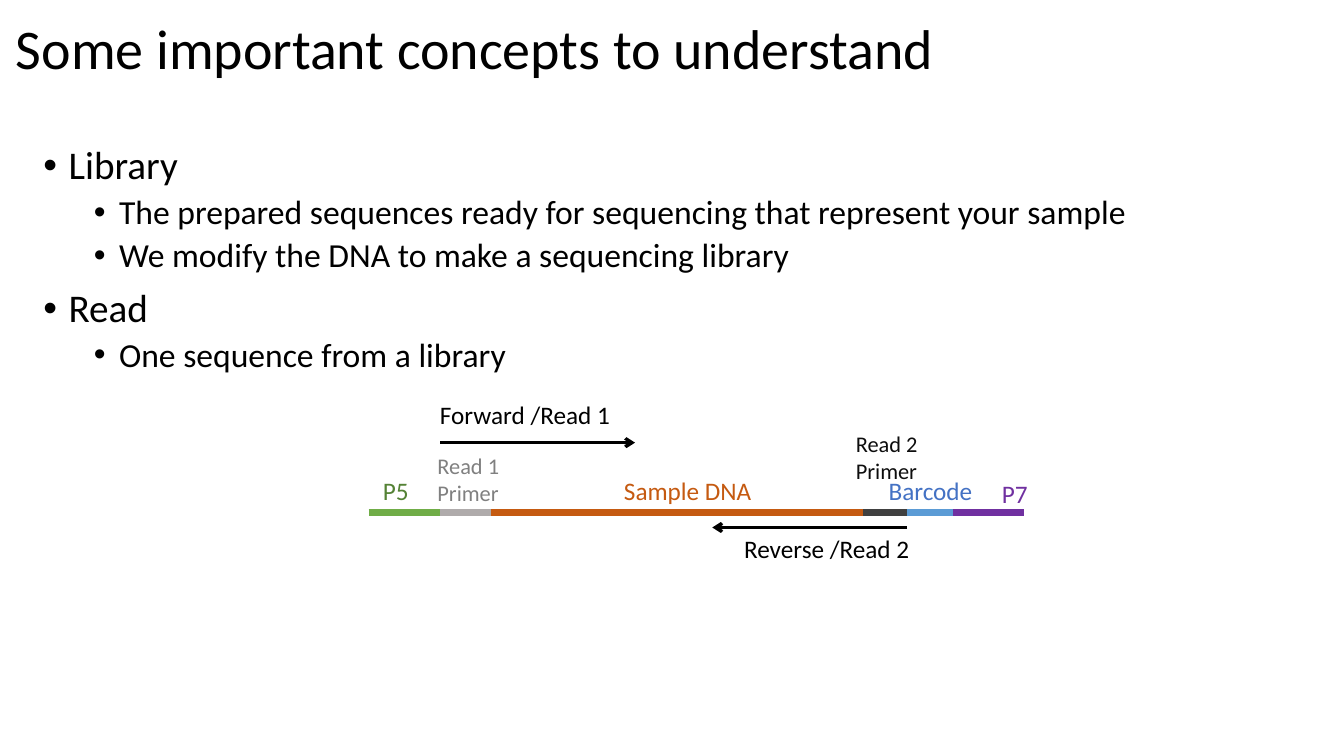
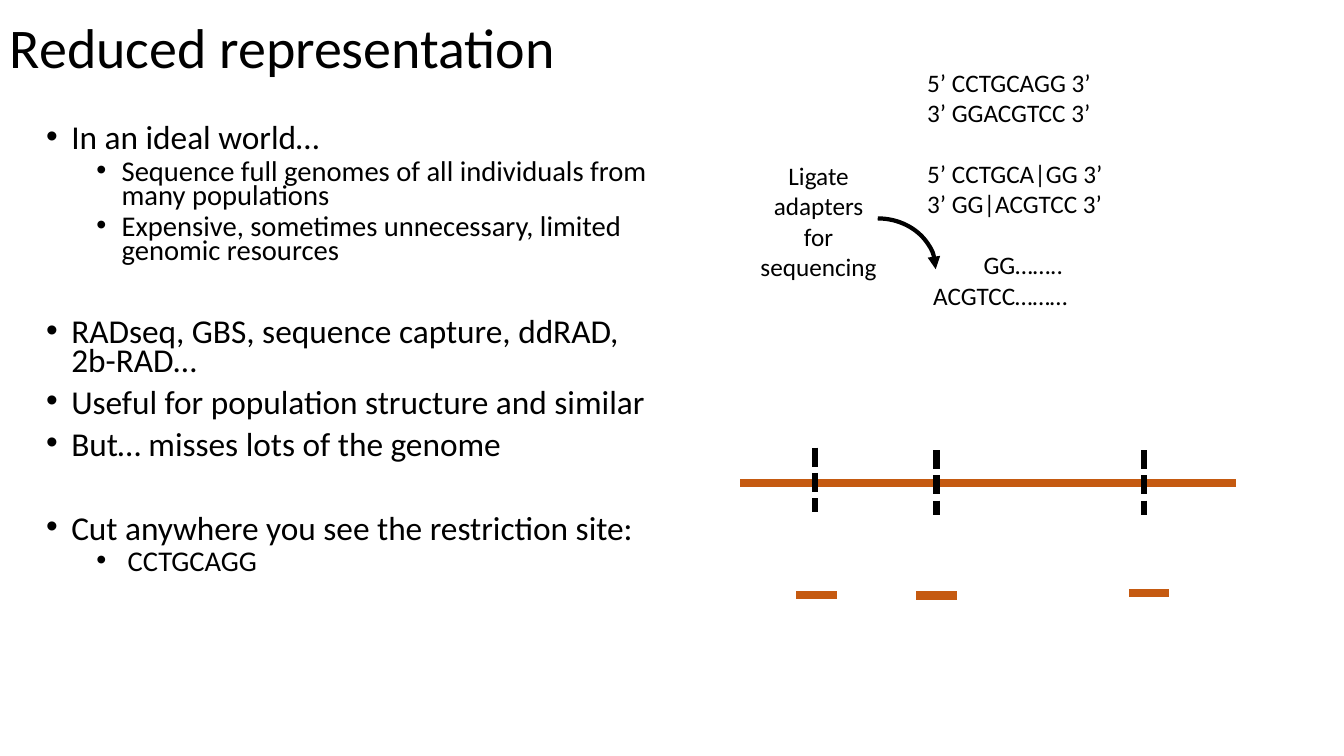
import dataclasses
import itertools

import pptx
import pptx.dml.color
import pptx.enum.dml
import pptx.enum.shapes
import pptx.enum.text
import pptx.oxml.ns
import pptx.util
from lxml import etree


@dataclasses.dataclass(frozen=True)
class Theme:
    font: str = "Calibri"
    black: str = "000000"
    orange: str = "C55A11"
    green: str = "70AD47"
    dark_green: str = "548235"
    purple: str = "7030A0"
    sky: str = "5B9BD5"
    blue: str = "4472C4"
    silver: str = "AFABAB"
    grey: str = "808080"
    charcoal: str = "404040"
    near_black: str = "0D0D0D"
    title: float = 40
    label: float = 18
    primer: float = 16
    thin: float = 2.25
    arc: float = 3
    strand: float = 4.5
    genome: float = 6


@dataclasses.dataclass(frozen=True)
class Style:
    """Text style; before is in points, left and hang in inches."""
    size: float
    color: str = Theme.black
    spacing: float = 1.0
    before: float = 0
    left: float = 0
    hang: float = 0
    bullet: str = ""
    align: pptx.enum.text.PP_ALIGN = pptx.enum.text.PP_ALIGN.LEFT


theme = Theme()
deck = pptx.Presentation()
deck.slide_width = pptx.util.Inches(13.33)
deck.slide_height = pptx.util.Inches(7.5)
COLUMNS, ROWS = 160, 90
column = deck.slide_width / COLUMNS
row = deck.slide_height / ROWS


def write_text(page, area, paragraphs, wrap=True, anchor=pptx.enum.text.MSO_ANCHOR.TOP):
    """Put (text, style) paragraphs in a box; area is left, top, width, height in cells."""
    left, top, width, height = area
    box = page.shapes.add_textbox(
        round(left * column), round(top * row), round(width * column), round(height * row))
    frame = box.text_frame
    frame.word_wrap = wrap
    frame.vertical_anchor = anchor
    for index, (text, style) in enumerate(paragraphs):
        para = frame.add_paragraph() if index else frame.paragraphs[0]
        para.alignment = style.align
        para.line_spacing = style.spacing
        para.space_before = pptx.util.Pt(style.before if index else 0)
        properties = para._p.get_or_add_pPr()
        properties.set("marL", str(pptx.util.Inches(style.left)))
        properties.set("indent", str(-pptx.util.Inches(style.hang)))
        if style.bullet:
            etree.SubElement(properties, pptx.oxml.ns.qn("a:buFont"), typeface="Arial")
            etree.SubElement(properties, pptx.oxml.ns.qn("a:buChar"), char=style.bullet)
        span = para.add_run()
        span.text = text
        span.font.name = theme.font
        span.font.size = pptx.util.Pt(style.size)
        span.font.color.rgb = pptx.dml.color.RGBColor.from_string(style.color)


def style_line(shape, color, width, arrow=None, dash=None):
    shape.line.color.rgb = pptx.dml.color.RGBColor.from_string(color)
    shape.line.width = pptx.util.Pt(width)
    if dash:
        shape.line.dash_style = dash
    if arrow:
        outline = shape.line._get_or_add_ln()
        etree.SubElement(outline, pptx.oxml.ns.qn("a:tailEnd"), type=arrow)


title = Style(theme.title, spacing=0.9)
label = Style(theme.label)
point = Style(28, spacing=0.9, before=10, left=0.25, hang=0.25, bullet="•")
detail = dataclasses.replace(point, size=24, before=5, left=0.75)
tight_point = dataclasses.replace(point, size=23.8, spacing=0.7)
tight_detail = dataclasses.replace(detail, size=20.4, spacing=0.7)
new_topic = dataclasses.replace(tight_point, before=40)
site = dataclasses.replace(tight_detail, left=0.81, hang=0.31)
new_pair = dataclasses.replace(label, before=22)

blank = deck.slide_layouts[6]
concepts = deck.slides.add_slide(blank)
reduced = deck.slides.add_slide(blank)

for page, area, heading in [
    (concepts, (0.7, 0, 138, 12.2), "Some important concepts to understand"),
    (reduced, (0, 0, 138, 11.9), "Reduced representation"),
]:
    write_text(page, area, [(heading, title)], anchor=pptx.enum.text.MSO_ANCHOR.MIDDLE)

# Concepts: bullets and the labels of the library fragment
write_text(concepts, (4, 16.8, 145, 29.5), [
    ("Library", point),
    ("The prepared sequences ready for sequencing that represent your sample", detail),
    ("We modify the DNA to make a sequencing library", detail),
    ("Read", point),
    ("One sequence from a library", detail),
])

for text, left, top, width, color in [
    ("Forward /Read 1", 51.2, 47, 22.9, theme.black),
    ("Reverse /Read 2", 87.4, 62.9, 22.3, theme.black),
    ("P5", 44.4, 56, 5.5, theme.dark_green),
    ("Sample DNA", 73.1, 56, 17.8, theme.orange),
    ("Barcode", 104.6, 56, 12.5, theme.blue),
    ("P7", 118.1, 56.3, 5.5, theme.purple),
]:
    write_text(concepts, (left, top, width, 4.8),
               [(text, dataclasses.replace(label, color=color))], wrap=False)

for text, left, top, color in [
    ("Read 1 Primer", 50.9, 53.2, theme.grey),
    ("Read 2 Primer", 100.7, 50.6, theme.near_black),
]:
    write_text(concepts, (left, top, 10.8, 7.7), [(text, Style(theme.primer, color))])

# Reduced representation: bullets, sequences and the adapter arrow
write_text(reduced, (4.3, 14.6, 75.7, 61.8), [
    ("In an ideal world…", tight_point),
    ("Sequence full genomes of all individuals from many populations", tight_detail),
    ("Expensive, sometimes unnecessary, limited genomic resources", tight_detail),
    ("RADseq, GBS, sequence capture, ddRAD, 2b-RAD…", new_topic),
    ("Useful for population structure and similar", tight_point),
    ("But… misses lots of the genome", tight_point),
    ("Cut anywhere you see the restriction site:", new_topic),
    ("CCTGCAGG", site),
])

write_text(reduced, (109.2, 7.4, 23.6, 34), [
    ("5’ CCTGCAGG 3’", label),
    ("3’ GGACGTCC 3’", label),
    ("5’ CCTGCA|GG 3’", new_pair),
    ("3’ GG|ACGTCC 3’", label),
    ("GG……..", dataclasses.replace(new_pair, left=0.56)),
    ("ACGTCC………", dataclasses.replace(label, left=0.06)),
])

centred = dataclasses.replace(label, align=pptx.enum.text.PP_ALIGN.CENTER)
write_text(reduced, (89, 18.5, 16.9, 15.7), [("Ligate adapters for sequencing", centred)])

adapter_arc = reduced.shapes.add_shape(
    pptx.enum.shapes.MSO_SHAPE.ARC,
    round(97.6 * column), round(26 * row), round(13.8 * column), round(12.1 * row))
adapter_arc.shadow.inherit = False
adapter_arc.fill.background()
style_line(adapter_arc, theme.black, theme.arc, arrow="triangle")

# Lines: page, start, end, color, width, arrowhead, dash
lines = [
    (concepts, (52.4, 52.7), (75.6, 52.7), theme.black, theme.thin, "arrow", None),
    (concepts, (108, 62.8), (84.8, 62.8), theme.black, theme.thin, "arrow", None),
    (reduced, (88.1, 57.5), (147.1, 57.5), theme.orange, theme.genome, None, None),
]
joints = [43.9, 52.4, 58.4, 102.8, 108, 113.4, 121.9]
segment_colors = [theme.green, theme.silver, theme.orange,
                  theme.charcoal, theme.sky, theme.purple]
for (start, end), color in zip(itertools.pairwise(joints), segment_colors):
    lines.append((concepts, (start, 61), (end, 61), color, theme.strand, None, None))

CUT_HEIGHT, FRAGMENT_WIDTH = 7.7, 4.8
for x, top in [(97, 53.3), (111.5, 53.6), (136.2, 53.6)]:
    lines.append((reduced, (x, top), (x, top + CUT_HEIGHT), theme.black, theme.strand,
                  None, pptx.enum.dml.MSO_LINE.SQUARE_DOT))
for left, y in [(94.8, 70.8), (109.1, 70.9), (134.4, 70.6)]:
    lines.append((reduced, (left, y), (left + FRAGMENT_WIDTH, y),
                  theme.orange, theme.genome, None, None))

for page, (x1, y1), (x2, y2), color, width, arrow, dash in lines:
    connector = page.shapes.add_connector(
        pptx.enum.shapes.MSO_CONNECTOR.STRAIGHT,
        round(x1 * column), round(y1 * row), round(x2 * column), round(y2 * row))
    style_line(connector, color, width, arrow, dash)
    etree.SubElement(connector._element.spPr, pptx.oxml.ns.qn("a:effectLst"))

deck.save("out.pptx")
